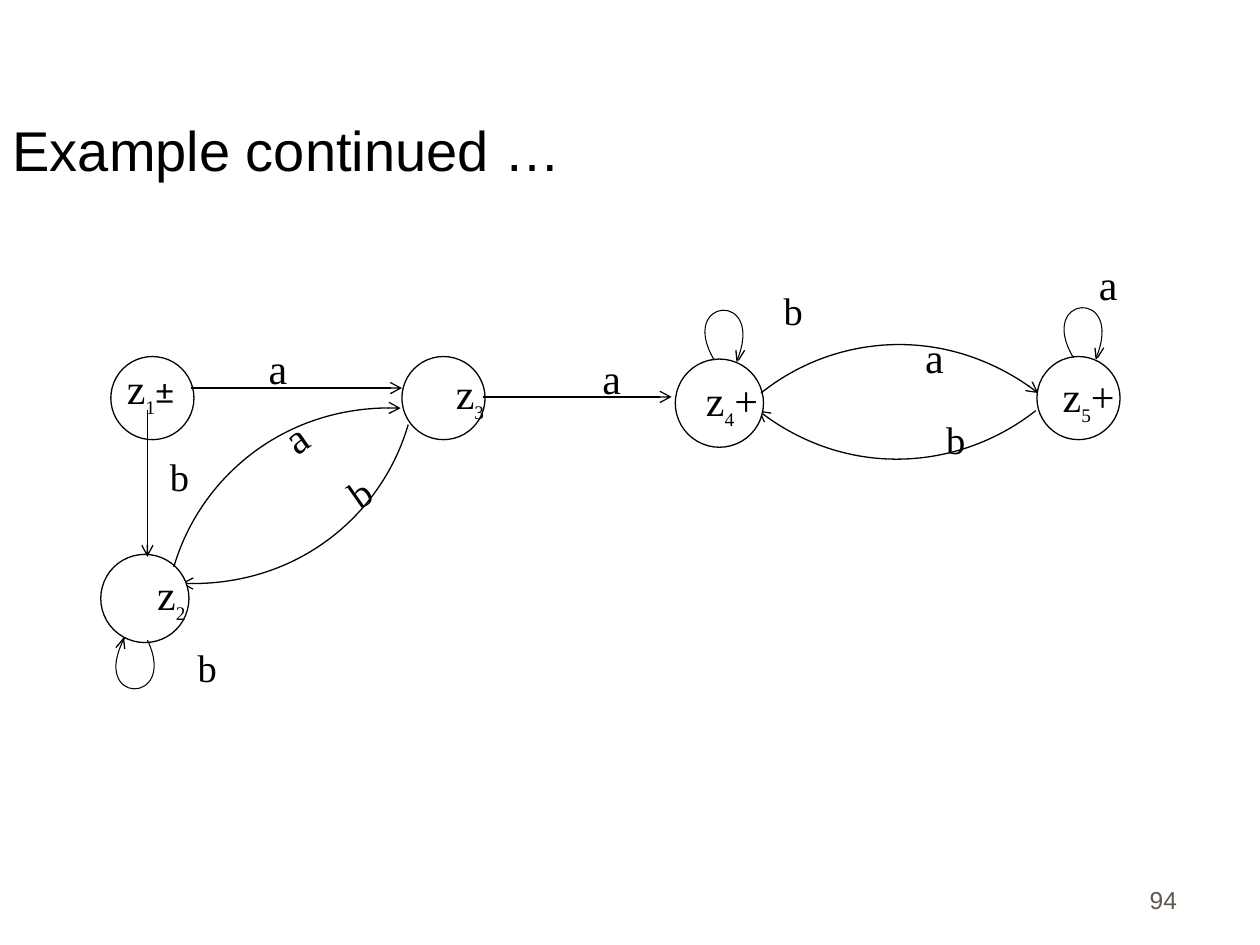
from dataclasses import dataclass

from lxml import etree
from pptx import Presentation
from pptx import util as u
from pptx.dml.color import RGBColor
from pptx.enum import shapes, text
from pptx.oxml.ns import qn

COLUMNS, ROWS = 10, 7.5
CELL = u.Inches(1)
BLACK, WHITE, GREY = "000000", "FFFFFF", "5E574E"
SERIF, SANS = "Times New Roman", "Arial"
TILT = 325
Point = tuple[float, float]


@dataclass
class State:
    number: str
    mark: str
    left: float
    top: float
    size: float
    label_left: float
    label_top: float
    mark_font: str = SERIF
    mark_size: float = 24


@dataclass
class Label:
    letter: str
    left: float
    top: float
    rotation: float = 0


@dataclass
class LoopForm:
    """Curve and arrowhead strokes, relative to the start of the loop."""
    curve: list[Point]
    barbs: list[list[Point]]


STATES = [
    State("1", "± ", 0.88, 2.83, 0.66, 0.83, 2.83, "Lato", 19),
    State("2", "", 0.8, 4.4, 0.7, 0.96, 4.46),
    State("3", "", 3.19, 2.83, 0.66, 3.33, 2.87),
    State("4", "+", 5.36, 2.85, 0.7, 5.41, 2.92),
    State("5", "+", 8.23, 2.83, 0.66, 8.24, 2.89),
]
# Width, height and text size of each letter's box
LETTER_BOXES = {"a": (0.75, 0.54, 24), "b": (1.01, 0.41, 22)}
LABELS = [
    Label("a", 1.83, 2.67), Label("a", 4.48, 2.75), Label("a", 7.04, 2.58),
    Label("a", 8.42, 2), Label("a", 1.98, 3.22, TILT),
    Label("b", 0.92, 3.55), Label("b", 1.14, 5.06), Label("b", 5.79, 2.23),
    Label("b", 7.08, 3.25), Label("b", 2.33, 3.68, TILT),
]
STRAIGHT_ARROWS = [
    ((1.52, 3.08), (3.19, 3.08)),
    ((3.83, 3.15), (5.33, 3.15)),
    ((1.17, 3.25), (1.17, 4.42)),
]
BACK_ARROWS = [
    [(8.22, 3.26), (7.65, 3.71), (6.74, 3.82), (6.02, 3.26)],
    [(3.24, 3.37), (3.04, 4.06), (2.36, 4.67), (1.44, 4.63)],
]
FORWARD_ARROWS = [
    [(6.04, 3.12), (6.6, 2.67), (7.51, 2.56), (8.24, 3.12)],
    [(1.38, 4.5), (1.58, 3.81), (2.27, 3.2), (3.18, 3.24)],
]
UPPER = LoopForm([(0, 0), (-0.3, -0.5), (0.41, -0.56), (0.18, 0)],
                 [[(0.19, 0), (0.24, -0.08)], [(0.17, -0.08), (0.18, 0.01)]])
LOWER = LoopForm([(0, 0), (0.25, 0.52), (-0.47, 0.52), (-0.18, -0.02)],
                 [[(-0.19, -0.01), (-0.25, 0.06)], [(-0.18, 0.07), (-0.19, -0.02)]])
LOOPS = [((5.67, 2.86), UPPER), ((8.52, 2.84), UPPER), ((1.17, 5.08), LOWER)]


def cells(*values: float) -> list[int]:
    return [round(value * CELL) for value in values]


def color(value: str) -> RGBColor:
    return RGBColor.from_string(value)


def style_span(span, size: float, font: str = SERIF, shade: str = BLACK) -> None:
    span.font.size = u.Pt(size)
    span.font.name = font
    span.font.color.rgb = color(shade)


def style_line(line, width: float = 0.75) -> None:
    line.color.rgb = color(BLACK)
    line.width = u.Pt(width)


def add_arrowhead(shape) -> None:
    outline = shape.line._get_or_add_ln()
    etree.SubElement(outline, qn("a:tailEnd"), type="arrow")


def add_box(page, left: float, top: float, width: float, height: float,
            alignment=text.PP_ALIGN.CENTER):
    box = page.shapes.add_textbox(*cells(left, top, width, height))
    box.text_frame.word_wrap = True
    box.text_frame.paragraphs[0].alignment = alignment
    return box


def add_span(box, content: str, size: float, font: str = SERIF, shade: str = BLACK):
    span = box.text_frame.paragraphs[0].add_run()
    span.text = content
    style_span(span, size, font, shade)
    return span


def add_state(page, state: State) -> None:
    circle = page.shapes.add_shape(
        shapes.MSO_SHAPE.OVAL, *cells(state.left, state.top, state.size, state.size))
    circle.shadow.inherit = False
    circle.fill.solid()
    circle.fill.fore_color.rgb = color(WHITE)
    style_line(circle.line)


def add_state_name(page, state: State) -> None:
    box = add_box(page, state.label_left, state.label_top, 0.8, 0.46)
    add_span(box, "z", 24)
    subscript = add_span(box, state.number, 19)
    subscript._r.get_or_add_rPr().set("baseline", "-30000")
    if state.mark:
        add_span(box, state.mark, state.mark_size, state.mark_font)


def add_label(page, label: Label) -> None:
    width, height, size = LETTER_BOXES[label.letter]
    box = add_box(page, label.left, label.top, width, height)
    box.rotation = label.rotation
    add_span(box, label.letter, size)


def add_stroke(page, points: list[Point], width: float = 0.75):
    """Draw two points as a line, or four as a Bézier curve."""
    start, *others = [cells(*point) for point in points]
    builder = page.shapes.build_freeform(*start)
    builder.add_line_segments(others, close=False)
    stroke = builder.convert_to_shape()
    stroke.shadow.inherit = False
    stroke.fill.background()
    style_line(stroke.line, width)
    if len(points) == 4:
        outline = stroke._element.find(".//" + qn("a:path"))
        segments = outline.findall(qn("a:lnTo"))
        curve = etree.SubElement(outline, qn("a:cubicBezTo"))
        for segment in segments:
            curve.append(segment[0])
            outline.remove(segment)
    return stroke


def add_loop(page, start: Point, form: LoopForm) -> None:
    for points, width in [(form.curve, 0.6), *((barb, 0.75) for barb in form.barbs)]:
        add_stroke(page, [(start[0] + x, start[1] + y) for x, y in points], width)


def add_straight_arrow(page, start: Point, end: Point) -> None:
    arrow = page.shapes.add_connector(
        shapes.MSO_CONNECTOR.STRAIGHT, *cells(*start, *end))
    style_line(arrow.line)
    add_arrowhead(arrow)
    etree.SubElement(arrow._element.spPr, qn("a:effectLst"))


def add_title(page, content: str) -> None:
    title = page.shapes.title
    title.left, title.top, title.width, title.height = cells(0, 0.25, 8.5, 1.25)
    title.text_frame.text = content
    title.text_frame.vertical_anchor = text.MSO_ANCHOR.BOTTOM
    para = title.text_frame.paragraphs[0]
    para.alignment = text.PP_ALIGN.LEFT
    style_span(para.runs[0], 32, SANS)


def main() -> None:
    deck = Presentation()
    deck.slide_width, deck.slide_height = cells(COLUMNS, ROWS)
    page = deck.slides.add_slide(deck.slide_layouts[5])
    add_title(page, "Example continued …")
    number = add_box(page, 7.36, 6.81, 2.08, 0.5, text.PP_ALIGN.RIGHT)
    number.text_frame.vertical_anchor = text.MSO_ANCHOR.BOTTOM
    add_span(number, "94", 14, SANS, GREY)

    for points in BACK_ARROWS:
        add_arrowhead(add_stroke(page, points))
    for state in STATES:
        add_state(page, state)
    for points in FORWARD_ARROWS:
        add_arrowhead(add_stroke(page, points))
    for start, end in STRAIGHT_ARROWS:
        add_straight_arrow(page, start, end)
    for start, form in LOOPS:
        add_loop(page, start, form)
    for state in STATES:
        add_state_name(page, state)
    for label in LABELS:
        add_label(page, label)
    deck.save("out.pptx")


if __name__ == "__main__":
    main()
